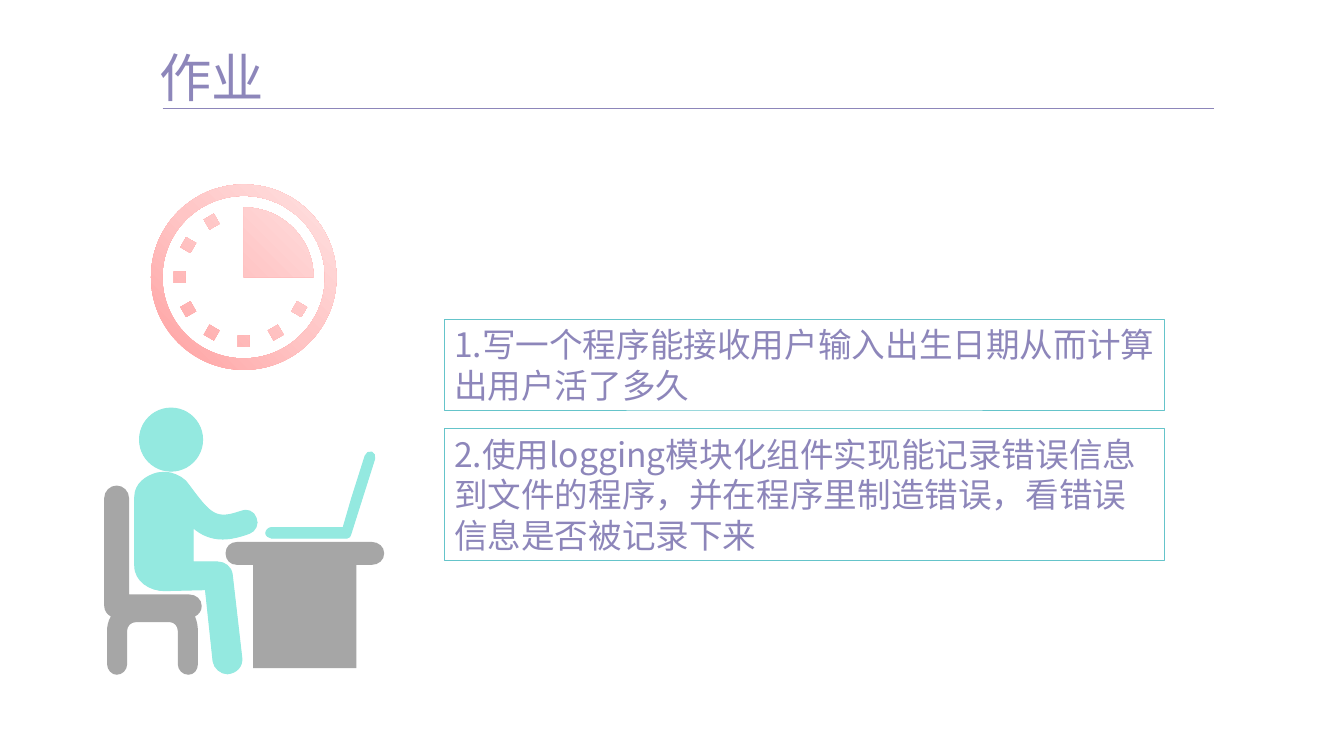
"""Build the homework slide: a titled page with two tasks and a desk scene."""
from copy import deepcopy
from dataclasses import dataclass
from math import cos, radians, sin, tan

from lxml import etree
from pptx import Presentation
from pptx import util as u
from pptx.dml.color import RGBColor
from pptx.enum import shapes, text
from pptx.oxml import ns

PX = 9144
Step = tuple[float, ...]


@dataclass(frozen=True)
class Theme:
    ink: str = "8D86BA"
    frame: str = "65C4CA"
    figure: str = "94E9E0"
    furniture: str = "A6A6A6"
    clock: tuple[str, ...] = ("FFA0A0", "FFC5C5", "FFE3E3")
    font: str = "Noto Sans CJK SC"
    title_size: float = 39.4
    task_size: float = 25.3
    leading: float = 1.21
    thin: float = 0.5
    outline: float = 0.75


@dataclass(frozen=True)
class Box:
    left: int
    top: int
    width: int
    height: int

    def emu(self) -> list[int]:
        return [side * PX for side in (self.left, self.top, self.width, self.height)]


@dataclass(frozen=True)
class Writing:
    words: str
    box: Box
    size: float
    inset_x: int
    inset_y: int
    framed: bool


@dataclass(frozen=True)
class Silhouette:
    color: str
    outlined: bool
    steps: list[Step]


THEME = Theme()

WRITINGS = [
    Writing("作业", Box(167, 47, 418, 66), THEME.title_size, 0, 0, False),
    Writing("1.写一个程序能接收用户输入出生日期从而计算出用户活了多久",
            Box(465, 334, 753, 95), THEME.task_size, 10, 5, True),
    Writing("2.使用logging模块化组件实现能记录错误信息到文件的程序，并在程序里制造错误，看错误信息是否被记录下来",
            Box(465, 448, 753, 138), THEME.task_size, 10, 5, True),
]

HEAD = Box(146, 427, 66, 66)

BODY = Silhouette(THEME.figure, True, [
    (243, 601), (242, 593, 235, 588, 228, 588), (202, 588), (202, 552),
    (210, 559, 220, 564, 233, 564), (241, 564, 250, 562, 261, 558),
    (267, 556, 271, 548, 268, 542), (266, 535, 258, 532, 252, 535),
    (226, 544, 221, 539, 198, 508), (194, 501, 186, 497, 179, 495),
    (175, 494, 168, 494, 164, 495), (153, 498, 141, 506, 141, 520), (141, 592),
    (141, 608, 157, 618, 172, 618), (215, 617), (223, 692),
    (224, 699, 231, 705, 238, 705), (248, 704, 254, 697, 253, 688),
])
CHAIR = Silhouette(THEME.furniture, False, [
    (211, 634), (211, 627, 205, 622, 198, 622), (135, 622), (135, 521),
    (135, 514, 129, 508, 122, 508), (115, 508, 109, 514, 109, 521), (109, 634),
    (109, 639, 112, 643, 116, 645), (113, 650, 112, 655, 112, 660), (112, 695),
    (112, 701, 117, 706, 122, 706), (128, 706, 133, 701, 133, 695), (133, 660),
    (133, 655, 137, 651, 142, 651), (178, 651), (182, 651, 186, 655, 186, 660),
    (186, 695), (186, 701, 191, 706, 197, 706), (203, 706, 207, 701, 207, 695),
    (207, 660), (207, 655, 206, 650, 204, 645), (208, 643, 211, 639, 211, 634),
])
DESK = Silhouette(THEME.furniture, False, [
    (389, 567), (248, 567), (241, 567, 236, 572, 236, 579),
    (236, 586, 241, 591, 248, 591), (265, 591), (265, 699), (373, 699),
    (373, 591), (389, 591), (396, 591, 402, 586, 402, 579),
    (402, 572, 396, 567, 389, 567),
])
LAPTOP = Silhouette(THEME.figure, True, [
    (368, 521), (359, 552), (284, 552), (281, 552, 278, 555, 278, 558),
    (278, 560, 281, 563, 284, 563), (363, 563), (365, 563, 367, 561, 367, 559),
    (392, 480), (393, 477, 391, 474, 389, 473), (386, 472, 383, 474, 382, 477),
])


def rgb(color: str) -> RGBColor:
    return RGBColor.from_string(color)


def paint(shape, color: str, outlined: bool) -> None:
    shape.shadow.inherit = False
    shape.fill.solid()
    shape.fill.fore_color.rgb = rgb(color)
    if outlined:
        shape.line.color.rgb = rgb(color)
        shape.line.width = u.Pt(THEME.outline)
    else:
        shape.line.fill.background()


def bend(outline, steps: list[Step]) -> None:
    segments = iter(list(outline._element.iter(ns.qn("a:lnTo"))))
    for step in steps:
        if len(step) == 2:
            next(segments)
            continue
        first, *others = [next(segments) for _ in range(3)]
        curve = etree.Element(ns.qn("a:cubicBezTo"))
        first.addprevious(curve)
        for segment in (first, *others):
            curve.append(segment[0])
            segment.getparent().remove(segment)


def draw_contours(slide, contours: list[list[Step]]):
    start_x, start_y = contours[0][0]
    builder = slide.shapes.build_freeform(start_x * PX, start_y * PX, scale=1.0)
    for index, (start, *steps) in enumerate(contours):
        if index:
            builder.move_to(start[0] * PX, start[1] * PX)
        points = [(step[i] * PX, step[i + 1] * PX)
                  for step in steps for i in range(0, len(step), 2)]
        builder.add_line_segments(points, close=True)
    outline = builder.convert_to_shape()
    bend(outline, [step for contour in contours for step in contour[1:]])
    return outline


def draw_clock(slide) -> None:
    center_x, center_y = 255, 290
    rim, face, wedge, tick_ring, tick_half = 97, 85, 73, 67, 6

    def dial(degrees: float, along: float, across: float = 0) -> Step:
        a = radians(degrees)
        return (center_x + along * sin(a) + across * cos(a),
                center_y - along * cos(a) + across * sin(a))

    def quarter(start: int, radius: int, turn: int) -> Step:
        handle = turn * radius * 4 / 3 * tan(radians(22.5))
        end = start + 90 * turn
        return dial(start, radius, handle) + dial(end, radius, -handle) + dial(end, radius)

    contours = [[dial(0, radius)] + [quarter(90 * i * turn, radius, turn) for i in range(4)]
                for radius, turn in ((rim, 1), (face, -1))]
    contours.append([(center_x, center_y), dial(0, wedge), quarter(0, wedge, 1)])
    corners = [(-1, -1), (1, -1), (1, 1), (-1, 1)]
    for hour in range(4, 12):
        contours.append([dial(hour * 30, tick_ring + i * tick_half, j * tick_half)
                         for i, j in corners])
    clock = draw_contours(slide, contours)
    clock.shadow.inherit = False
    clock.line.fill.background()
    clock.fill.gradient()
    clock.fill.gradient_angle = 45
    stop_list = clock._element.spPr.find(".//" + ns.qn("a:gsLst"))
    stop_list.append(deepcopy(stop_list[0]))
    for index, (stop, color) in enumerate(zip(clock.fill.gradient_stops, THEME.clock)):
        stop.position = index / 2
        stop.color.rgb = rgb(color)


def write(holder, writing: Writing) -> None:
    holder.left, holder.top, holder.width, holder.height = writing.box.emu()
    frame = holder.text_frame
    frame.text = writing.words
    frame.word_wrap = True
    frame.auto_size = text.MSO_AUTO_SIZE.NONE
    frame.vertical_anchor = text.MSO_ANCHOR.MIDDLE
    frame.margin_left = frame.margin_right = writing.inset_x * PX
    frame.margin_top = frame.margin_bottom = writing.inset_y * PX
    if writing.framed:
        holder.line.color.rgb = rgb(THEME.frame)
        holder.line.width = u.Pt(THEME.outline)
    paragraph = frame.paragraphs[0]
    paragraph.alignment = text.PP_ALIGN.LEFT
    paragraph.space_before = u.Pt(0)
    paragraph.line_spacing = u.Pt(round(writing.size * THEME.leading, 1))
    properties = paragraph._p.get_or_add_pPr()
    properties.set("marL", "0")
    properties.set("indent", "0")
    etree.SubElement(properties, ns.qn("a:buNone"))
    font = paragraph.runs[0].font
    font.size = u.Pt(writing.size)
    font.color.rgb = rgb(THEME.ink)
    font.name = THEME.font
    etree.SubElement(font._element, ns.qn("a:ea"), typeface=THEME.font)


def draw_rule(slide) -> None:
    rule = slide.shapes.add_connector(
        shapes.MSO_CONNECTOR.STRAIGHT, 170 * PX, 113 * PX, 1270 * PX, 113 * PX)
    rule.line.color.rgb = rgb(THEME.ink)
    rule.line.width = u.Pt(THEME.thin)
    etree.SubElement(rule._element.spPr, ns.qn("a:effectLst"))


def main() -> None:
    deck = Presentation()
    deck.slide_width, deck.slide_height = 1406 * PX, 791 * PX
    slide = deck.slides.add_slide(deck.slide_layouts[3])
    for holder, writing in zip(slide.placeholders, WRITINGS):
        write(holder, writing)
    draw_rule(slide)
    head = slide.shapes.add_shape(shapes.MSO_SHAPE.OVAL, *HEAD.emu())
    paint(head, THEME.figure, True)
    for part in (BODY, CHAIR, DESK, LAPTOP):
        paint(draw_contours(slide, [part.steps]), part.color, part.outlined)
    draw_clock(slide)
    deck.save("out.pptx")


if __name__ == "__main__":
    main()
